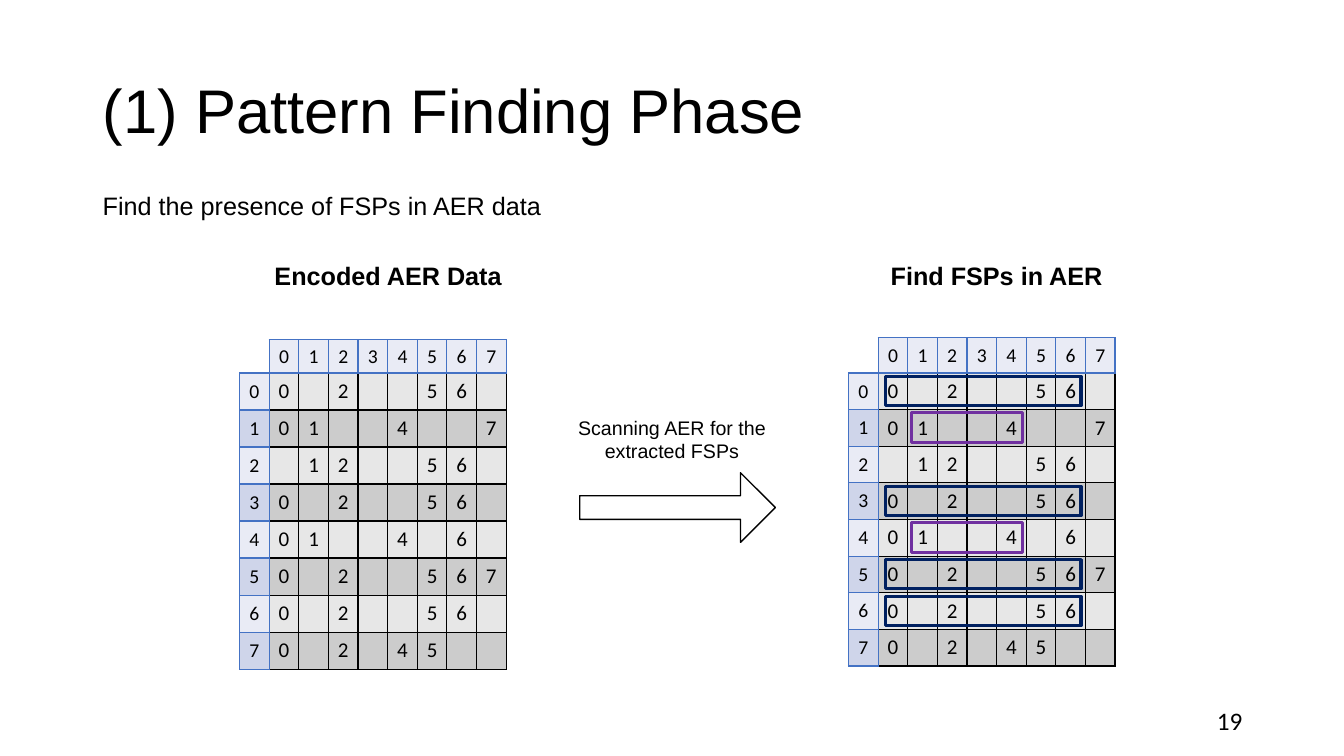
"""Build the pattern finding slide: AER grids before and after scanning for FSPs."""
from dataclasses import dataclass

from lxml import etree
from pptx import Presentation, util as u
from pptx.dml.color import RGBColor
from pptx.enum import shapes, text
from pptx.oxml.ns import qn

EVENTS = [
    (0, 2, 5, 6),
    (0, 1, 4, 7),
    (1, 2, 5, 6),
    (0, 2, 5, 6),
    (0, 1, 4, 6),
    (0, 2, 5, 6, 7),
    (0, 2, 5, 6),
    (0, 2, 4, 5),
]
N = len(EVENTS)
LEFT, CENTER, RIGHT = text.PP_ALIGN.LEFT, text.PP_ALIGN.CENTER, text.PP_ALIGN.RIGHT


@dataclass(frozen=True)
class Theme:
    heading: str = "Arial"
    digits: str = "Calibri"
    ink: str = "000000"
    axis_line: str = "4472C4"
    axis_bands: tuple = ("E9EBF5", "CFD5EA")
    data_bands: tuple = ("E7E7E7", "CCCCCC")
    long_pattern: str = "002060"
    short_pattern: str = "7030A0"
    title_size: int = 44
    body_size: int = 18
    data_size: int = 15
    small_size: int = 14
    thin: float = 1
    thick: float = 2.25


THEME = Theme()
COL = 2.35 / N
GRID_TOP = 3.7
ENCODED = dict(left=2.67, row=2.94 / N, header=0.33)
SCANNED = dict(left=8.71, row=2.91 / N, header=0.35)

CAPTIONS = [
    ("(1) Pattern Finding Phase", (0.92, 0.4, 11.5, 1.45), THEME.title_size, LEFT, False),
    ("Find the presence of FSPs in AER data", (0.92, 1.84, 4.73, 0.4), THEME.body_size, LEFT, False),
    ("Encoded AER Data", (2.61, 2.53, 2.48, 0.4), THEME.body_size, CENTER, True),
    ("Find FSPs in AER", (8.71, 2.53, 2.35, 0.4), THEME.body_size, CENTER, True),
    ("Scanning AER for the extracted FSPs", (5.49, 4.07, 2.35, 0.57), THEME.small_size, CENTER, False),
]
PAGE_NUMBER = ("19", (9.42, 6.95, 3, 0.4), THEME.body_size, RIGHT, False, THEME.digits)

PATTERNS = [
    (THEME.long_pattern, 0.25, 6.6, (0, 3, 5, 6)),
    (THEME.short_pattern, 1.13, 3.75, (1, 4)),
]
ARROW = (5.75, 4.69, 1.94, 0.69)


def inches(box):
    return [u.Inches(length) for length in box]


def rgb(color):
    return RGBColor.from_string(color)


def add_run(paragraph, words, font, size, bold=False):
    run = paragraph.add_run()
    run.text = words
    run.font.name = font
    run.font.size = u.Pt(size)
    run.font.bold = bold
    run.font.color.rgb = rgb(THEME.ink)


def add_caption(slide, words, box, size, align, bold, font=THEME.heading):
    frame = slide.shapes.add_textbox(*inches(box)).text_frame
    frame.word_wrap = True
    frame.vertical_anchor = text.MSO_ANCHOR.MIDDLE
    paragraph = frame.paragraphs[0]
    paragraph.alignment = align
    if size == THEME.title_size:
        paragraph.line_spacing = 0.9
    add_run(paragraph, words, font, size, bold)


def add_borders(cell, color):
    properties = cell._tc.get_or_add_tcPr()
    for side in ("a:lnL", "a:lnR", "a:lnT", "a:lnB"):
        line = etree.SubElement(properties, qn(side), w=str(u.Pt(THEME.thin)))
        fill = etree.SubElement(line, qn("a:solidFill"))
        etree.SubElement(fill, qn("a:srgbClr"), val=color)


def add_grid(slide, values, left, top, row_height, bands, line, size):
    rows, cols = len(values), len(values[0])
    box = inches((left, top, cols * COL, rows * row_height))
    table = slide.shapes.add_table(rows, cols, *box).table
    table.first_row = table.horz_banding = False
    for column in table.columns:
        column.width = u.Inches(COL)
    for r, row in enumerate(values):
        table.rows[r].height = u.Inches(row_height)
        for c, value in enumerate(row):
            cell = table.cell(r, c)
            cell.margin_left = cell.margin_right = cell.margin_top = cell.margin_bottom = 0
            cell.vertical_anchor = text.MSO_ANCHOR.MIDDLE
            add_borders(cell, line)
            cell.fill.solid()
            cell.fill.fore_color.rgb = rgb(bands[r % 2])
            paragraph = cell.text_frame.paragraphs[0]
            paragraph.alignment = CENTER
            if value:
                add_run(paragraph, value, THEME.digits, size)


def add_aer(slide, left, row, header):
    labels = [str(i) for i in range(N)]
    data = [[str(c) if c in events else "" for c in range(N)] for events in EVENTS]
    axis = (THEME.axis_bands, THEME.axis_line, THEME.small_size)
    add_grid(slide, data, left, GRID_TOP, row, THEME.data_bands, THEME.ink, THEME.data_size)
    add_grid(slide, [labels], left, GRID_TOP - header, header, *axis)
    add_grid(slide, [[label] for label in labels], left - COL, GRID_TOP, row, *axis)


def add_outline(slide, kind, box, color, width):
    outline = slide.shapes.add_shape(kind, *inches(box))
    outline.shadow.inherit = False
    outline.fill.background()
    outline.line.color.rgb = rgb(color)
    outline.line.width = u.Pt(width)
    return outline


def main():
    deck = Presentation()
    deck.slide_width, deck.slide_height = inches((13.33, 7.5))
    slide = deck.slides.add_slide(deck.slide_layouts[6])
    for caption in CAPTIONS + [PAGE_NUMBER]:
        add_caption(slide, *caption)
    for aer in (ENCODED, SCANNED):
        add_aer(slide, **aer)
    arrow = add_outline(slide, shapes.MSO_SHAPE.RIGHT_ARROW, ARROW, THEME.ink, THEME.thin)
    arrow.adjustments[0] = 0.34
    arrow.adjustments[1] = 0.5
    for color, first_col, span, matches in PATTERNS:
        for match in matches:
            box = (SCANNED["left"] + first_col * COL,
                   GRID_TOP + (match + 0.09) * SCANNED["row"],
                   span * COL, 0.8 * SCANNED["row"])
            add_outline(slide, shapes.MSO_SHAPE.RECTANGLE, box, color, THEME.thick)
    deck.save("out.pptx")


if __name__ == "__main__":
    main()
